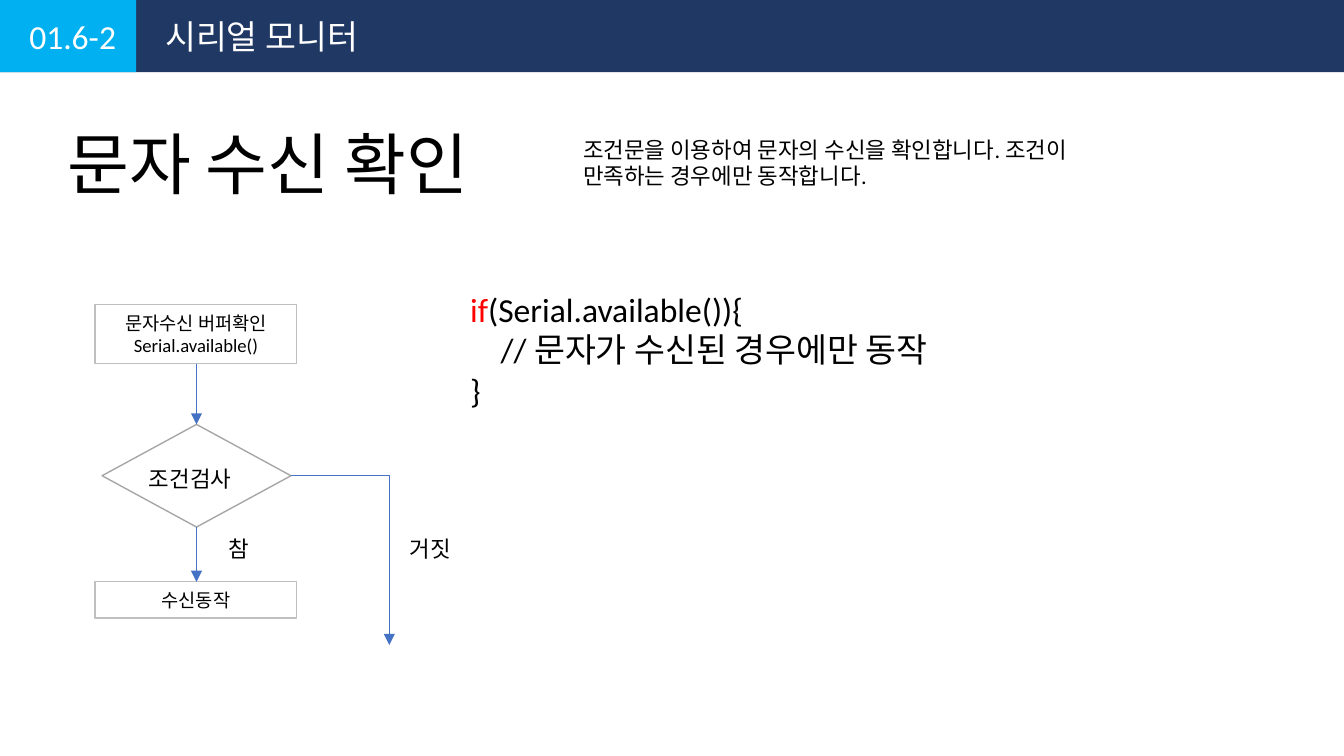
from lxml import etree
from pptx import Presentation
from pptx.dml.color import RGBColor
from pptx.enum.shapes import MSO_CONNECTOR, MSO_SHAPE
from pptx.enum.text import MSO_ANCHOR, MSO_AUTO_SIZE, PP_ALIGN
from pptx.oxml.ns import qn
from pptx.util import Pt

RECT, DIAMOND = MSO_SHAPE.RECTANGLE, MSO_SHAPE.DIAMOND
LINE, ELBOW = MSO_CONNECTOR.STRAIGHT, MSO_CONNECTOR.ELBOW
LEFT, CENTER = PP_ALIGN.LEFT, PP_ALIGN.CENTER
TOP, MIDDLE = MSO_ANCHOR.TOP, MSO_ANCHOR.MIDDLE
NONE = MSO_AUTO_SIZE.NONE

COLORS = {
    "black": "000000", "white": "FFFFFF", "red": "FF0000",
    "navy": "203864", "sky": "00B0F0", "arrow": "4472C4",
    "node": "BFBFBF", "test": "A6A6A6",
}


def color(name):
    return RGBColor.from_string(COLORS[name])


def apply(target, values):
    for name, value in values.items():
        setattr(target, name, value)


def place(box, x, y, w, h):
    return [Pt(v) for v in (box[0] + x, box[1] + y, w, h)]


def write(shape, lines, size, tint="black", align=LEFT, anchor=TOP):
    frame = shape.text_frame
    apply(frame, {"word_wrap": True, "auto_size": NONE, "vertical_anchor": anchor})
    for i, line in enumerate(lines):
        para = frame.add_paragraph() if i else frame.paragraphs[0]
        para.alignment = align
        for text, hue in [(line, tint)] if isinstance(line, str) else line:
            run = para.add_run()
            run.text = text
            apply(run.font, {"name": "Calibri", "size": Pt(size), "bold": False})
            run.font.color.rgb = color(hue)


def label(slide, spot, lines, size, tint="black"):
    shape = slide.shapes.add_textbox(*spot)
    write(shape, lines, size, tint)
    return shape


def block(slide, kind, spot, fill=None, edge=None):
    shape = slide.shapes.add_shape(kind, *spot)
    shape.shadow.inherit = False
    if fill:
        shape.fill.solid()
        shape.fill.fore_color.rgb = color(fill)
    else:
        shape.fill.background()
    if edge:
        shape.line.color.rgb = color(edge)
        shape.line.width = Pt(0.75)
    else:
        shape.line.fill.background()
    return shape


def arrow(slide, box, start, end, kind=LINE):
    ends = [Pt(box[i] + p[i]) for p in (start, end) for i in (0, 1)]
    link = slide.shapes.add_connector(kind, *ends)
    link.line.color.rgb = color("arrow")
    link.line.width = Pt(0.5)
    props = link._element.spPr
    if kind == ELBOW:
        props.find(qn("a:prstGeom")).set("prst", "bentConnector2")
    etree.SubElement(props.find(qn("a:ln")), qn("a:tailEnd"), type="triangle")
    etree.SubElement(props, qn("a:effectLst"))


def header(slide, box):
    w, h = box[2:]
    block(slide, RECT, place(box, 0, 0, w, h), "navy")
    block(slide, RECT, place(box, 0, 0, 73, h), "sky")
    label(slide, place(box, 8.6, 5, 65, 29), ["01.6-2"], 18, "white")
    label(slide, place(box, 81.4, 5, 371.5, 29), ["시리얼 모니터"], 18, "white")


def intro(slide, box):
    title = slide.shapes.title
    spot = place(box, 0, 0, 276.5, box[3])
    apply(title, dict(zip(("left", "top", "width", "height"), spot)))
    write(title, ["문자 수신 확인"], 36)
    label(slide, place(box, 276.5, 7.2, 299, 36),
          ["조건문을 이용하여 문자의 수신을 확인합니다. 조건이 만족하는 경우에만 동작합니다."], 12)


def code(slide, box):
    lines = [[("if", "red"), ("(Serial.available()){", "black")],
             "// 문자가 수신된 경우에만 동작", "}"]
    shape = label(slide, place(box, 0, 0, *box[2:]), lines, 18)
    note = shape.text_frame.paragraphs[1]
    note._p.get_or_add_pPr().set("marL", str(Pt(16.3)))


def flow(slide, box):
    mid = 54.3
    nodes = [(0, 31.7, ["문자수신 버퍼확인", "Serial.available()"]),
             (148.5, 19.4, ["수신동작"])]
    for y, h, lines in nodes:
        node = block(slide, RECT, place(box, 0, y, 108, h), edge="node")
        write(node, lines, 10, align=CENTER, anchor=MIDDLE)
    block(slide, DIAMOND, place(box, mid - 50.6, 64.2, 101.2, 55), edge="test")
    for x, y, w, text in [(21.7, 82.3, 75, "조건검사"),
                          (64.2, 119.8, 56, "참"), (161.4, 119.8, 56, "거짓")]:
        label(slide, place(box, x, y, w, 21.6), [text], 12)
    for top, end in [(31.7, 64.2), (119.2, 148.5)]:
        arrow(slide, box, (mid, top), (mid, end))
    arrow(slide, box, (mid + 50.6, 91.7), (157.6, 182.4), ELBOW)


def main():
    deck = Presentation()
    apply(deck, {"slide_width": Pt(720), "slide_height": Pt(405)})
    slide = deck.slides.add_slide(deck.slide_layouts[5])
    intro(slide, (28.8, 62, 575.5, 51))
    code(slide, (244.8, 151.2, 360, 72.7))
    flow(slide, (51, 163.2, 218, 182.4))
    header(slide, (0, 0, 720, 38.7))
    deck.save("out.pptx")


if __name__ == "__main__":
    main()
